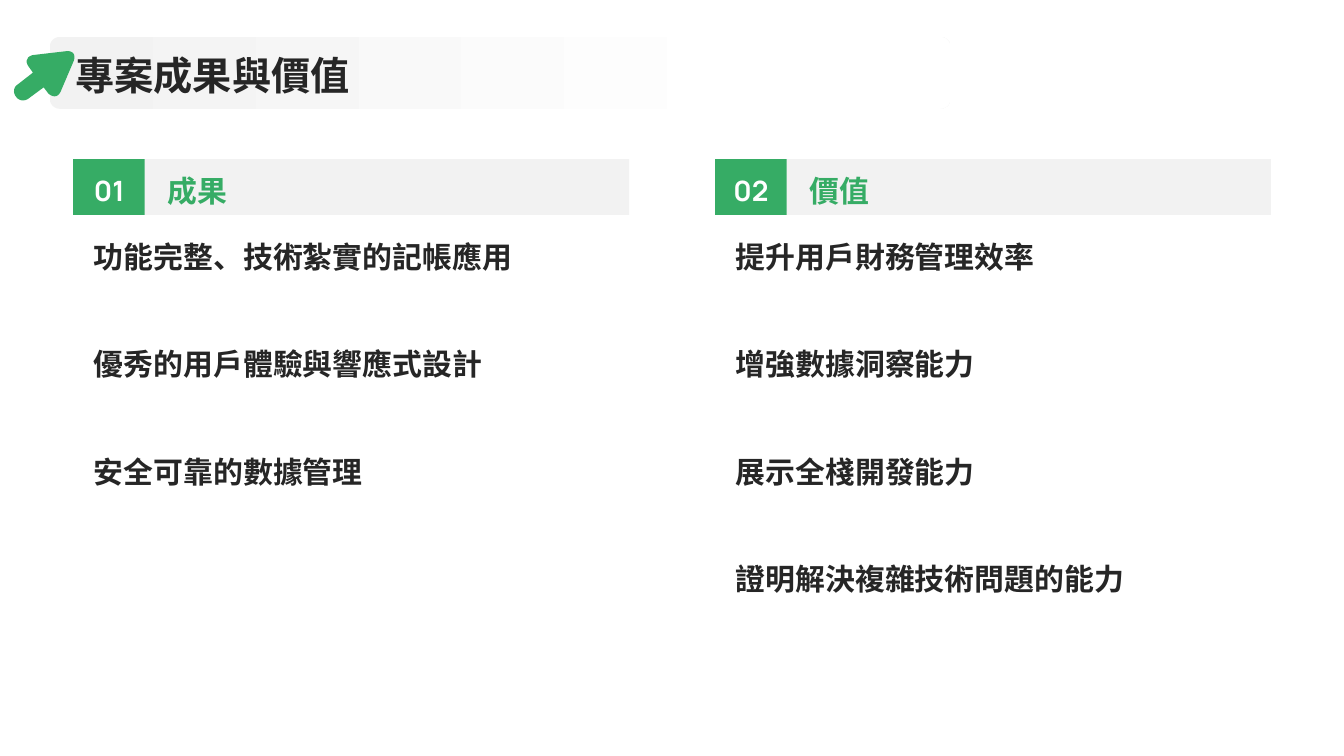
"""Build the project results and value slide."""
from dataclasses import dataclass
from typing import Any

from lxml import etree
from pptx import Presentation
from pptx.dml.color import RGBColor
from pptx.enum import shapes, text
from pptx.oxml import ns
from pptx.util import Pt

FONT = "Manrope"
GREEN, GREY, INK, WHITE = "36AC65", "F2F2F2", "262626", "FFFFFF"
COLUMN_TOP = 170.6
Point = tuple[float, float]


@dataclass(frozen=True)
class Box:
    left: float
    top: float
    width: float
    height: float

    def place(self) -> tuple[Pt, Pt, Pt, Pt]:
        return Pt(self.left), Pt(self.top), Pt(self.width), Pt(self.height)


@dataclass(frozen=True)
class Style:
    size: float
    color: str
    line: float
    gap: float = 0
    align: text.PP_ALIGN = text.PP_ALIGN.LEFT
    anchor: text.MSO_ANCHOR = text.MSO_ANCHOR.MIDDLE


@dataclass(frozen=True)
class Column:
    left: float
    number: str
    heading: str
    points: tuple[str, ...]


TITLE = Style(42, INK, 55.4)
HEADING = Style(32, GREEN, 49.9)
NUMBER = Style(30, WHITE, 39.6, align=text.PP_ALIGN.CENTER)
POINTS = Style(32, INK, 57.6, gap=57.6, anchor=text.MSO_ANCHOR.TOP)

COLUMNS = (
    Column(78.5, "01", "成果", (
        "功能完整、技術紮實的記帳應用", "優秀的用戶體驗與響應式設計", "安全可靠的數據管理")),
    Column(766.2, "02", "價值", (
        "提升用戶財務管理效率", "增強數據洞察能力", "展示全棧開發能力", "證明解決複雜技術問題的能力")),
)

ARROW_START = (29.5, 63.4)
ARROW_STEPS: tuple[tuple[Point, ...], ...] = (
    ((28.1, 64.8), (28.1, 67), (30.2, 70.6)),
    ((35.3, 77.8),),
    ((18.7, 90.7),),
    ((14.4, 93.6), (13.7, 99.4), (17.3, 103.7)),
    ((20.2, 108), (25.9, 108.7), (30.2, 105.8)),
    ((46.8, 93.6),),
    ((51.8, 100.1),),
    ((51.8, 100.1), (59.8, 108), (64.8, 98.6)),
    ((79.2, 64.8),),
    ((79.2, 64.8), (82.8, 54.7), (72, 54.7)),
    ((35.3, 59),),
    ((35.3, 59), (31, 59.8), (29.5, 62.6)),
)


def rgb(value: str) -> RGBColor:
    return RGBColor.from_string(value)


def paint(shape: Any, color: str) -> None:
    shape.shadow.inherit = False
    shape.fill.solid()
    shape.fill.fore_color.rgb = rgb(color)
    shape.line.fill.background()


def write(frame: Any, lines: tuple[str, ...], style: Style) -> None:
    frame.word_wrap = True
    frame.auto_size = text.MSO_AUTO_SIZE.NONE
    frame.vertical_anchor = style.anchor
    frame.margin_left = frame.margin_top = frame.margin_right = frame.margin_bottom = 0
    for index, line in enumerate(lines):
        paragraph = frame.paragraphs[0] if index == 0 else frame.add_paragraph()
        properties = paragraph._p.get_or_add_pPr()
        properties.set("marL", "0")
        properties.set("indent", "0")
        etree.SubElement(properties, ns.qn("a:buNone"))
        paragraph.alignment = style.align
        paragraph.line_spacing = Pt(style.line)
        paragraph.space_before = Pt(style.gap if index else 0)
        run = paragraph.add_run()
        run.text = line
        run.font.name = FONT
        run.font.size = Pt(style.size)
        run.font.bold = True
        run.font.color.rgb = rgb(style.color)
        east_asian = etree.SubElement(run._r.get_or_add_rPr(), ns.qn("a:ea"))
        east_asian.set("typeface", FONT)


def fill_placeholder(holder: Any, box: Box, lines: tuple[str, ...], style: Style) -> None:
    """Move a placeholder in front of what is drawn so far and write its text."""
    holder.left, holder.top, holder.width, holder.height = box.place()
    holder.element.getparent().append(holder.element)
    write(holder.text_frame, lines, style)


def add_label(slide: Any, box: Box, label: str, style: Style) -> None:
    write(slide.shapes.add_textbox(*box.place()).text_frame, (label,), style)


def add_band(slide: Any, box: Box, color: str) -> None:
    paint(slide.shapes.add_shape(shapes.MSO_SHAPE.RECTANGLE, *box.place()), color)


def curve(start: Point, first: Point, second: Point, end: Point) -> list[Point]:
    """Return points along a cubic curve, without its start."""
    steps = 10
    points = []
    for step in range(1, steps + 1):
        t = step / steps
        weights = ((1 - t) ** 3, 3 * t * (1 - t) ** 2, 3 * t * t * (1 - t), t ** 3)
        x, y = (sum(w * v for w, v in zip(weights, axis))
                for axis in zip(start, first, second, end))
        points.append((x, y))
    return points


def add_arrow(slide: Any) -> None:
    outline = [ARROW_START]
    for step in ARROW_STEPS:
        outline += curve(outline[-1], *step) if len(step) == 3 else step
    corners = [(Pt(x), Pt(y)) for x, y in outline]
    builder = slide.shapes.build_freeform(*corners[0])
    builder.add_line_segments(corners[1:], close=True)
    paint(builder.convert_to_shape(), GREEN)


def add_title_bar(slide: Any) -> None:
    bar = slide.shapes.add_shape(
        shapes.MSO_SHAPE.ROUNDED_RECTANGLE, *Box(53.3, 39.6, 965, 77).place())
    bar.adjustments[0] = 0.14
    paint(bar, GREY)
    bar.fill.gradient()
    bar.fill.gradient_angle = 0
    for stop, color, position in zip(bar.fill.gradient_stops, (GREY, WHITE), (0, 0.8)):
        stop.color.rgb = rgb(color)
        stop.position = position


def add_column(slide: Any, holder: Any, column: Column) -> None:
    left = column.left
    add_band(slide, Box(left + 75.5, COLUMN_TOP, 520, 59.8), GREY)
    add_band(slide, Box(left, COLUMN_TOP, 76.6, 59.8), GREEN)
    height = 57.6 * (2 * len(column.points) - 1)
    fill_placeholder(holder, Box(left + 22, 236.2, 553, height), column.points, POINTS)
    add_label(slide, Box(left + 101.5, 162.7, 468, 70.6), column.heading, HEADING)
    add_label(slide, Box(left + 6.5, 171.4, 64, 61.9), column.number, NUMBER)


def main() -> None:
    deck = Presentation()
    deck.slide_width, deck.slide_height = Pt(1440), Pt(810)
    slide = deck.slides.add_slide(deck.slide_layouts[3])
    title, *bodies = slide.placeholders
    for holder, column in zip(bodies, COLUMNS):
        add_column(slide, holder, column)
    add_title_bar(slide)
    add_arrow(slide)
    fill_placeholder(title, Box(80.6, 34.6, 1260.7, 87), ("專案成果與價值",), TITLE)
    deck.save("out.pptx")


if __name__ == "__main__":
    main()
